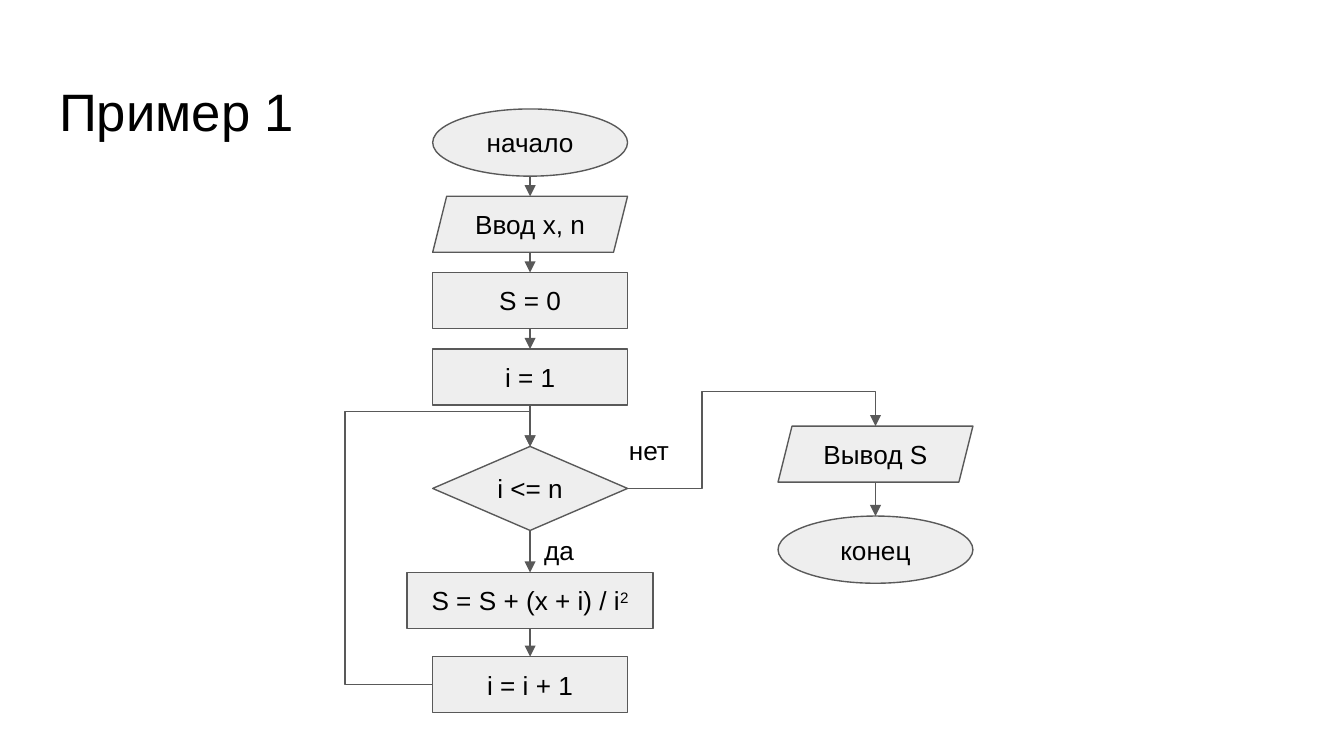
from dataclasses import dataclass
from itertools import pairwise

from pptx import Presentation
from pptx.dml.color import RGBColor as Rgb
from pptx.enum.shapes import MSO_CONNECTOR as Conn, MSO_SHAPE as Kind
from pptx.enum.text import MSO_ANCHOR as Anchor, PP_ALIGN as Align
from pptx.oxml.ns import qn
from pptx.oxml.xmlchemy import OxmlElement as Node
from pptx.util import Pt


@dataclass(frozen=True)
class Theme:
    font: str = "Arial"
    ink: Rgb = Rgb(0, 0, 0)
    fill: Rgb = Rgb(0xEE, 0xEE, 0xEE)
    edge: Rgb = Rgb(0x59, 0x59, 0x59)
    line: float = 0.75
    head: float = 28.2
    body: float = 14


THEME = Theme()
LEFT, RIGHT, WIDE = 284, 469, 104.4
JOINS = (Kind.RECTANGLE, Kind.DIAMOND)


def style(frame, size, align, anchor):
    frame.word_wrap = True
    frame.vertical_anchor = anchor
    frame.margin_left = frame.margin_right = Pt(7.2)
    frame.margin_top = frame.margin_bottom = Pt(7.2)
    for para in frame.paragraphs:
        para.alignment = align
        for run in para.runs:
            run.font.name = THEME.font
            run.font.size = Pt(size)
            run.font.color.rgb = THEME.ink


def title(slide, text):
    box = slide.shapes.title
    box.left, box.top, box.width, box.height = Pt(24.5), Pt(35), Pt(671), Pt(45)
    box.text_frame.text = text
    style(box.text_frame, THEME.head, Align.LEFT, Anchor.TOP)


def block(slide, kind, text, mid, top, high, wide=WIDE, power=""):
    box = slide.shapes.add_shape(kind, Pt(mid - wide / 2), Pt(top), Pt(wide), Pt(high))
    box.shadow.inherit = False
    box.fill.solid()
    box.fill.fore_color.rgb = THEME.fill
    box.line.color.rgb = THEME.edge
    box.line.width = Pt(THEME.line)
    box.text_frame.text = text
    if power:
        run = box.text_frame.paragraphs[0].add_run()
        run.text = power
        run._r.get_or_add_rPr().set("baseline", "30000")
    style(box.text_frame, THEME.body, Align.CENTER, Anchor.MIDDLE)
    return box


def label(slide, text, left, top):
    box = slide.shapes.add_textbox(Pt(left), Pt(top), Pt(41), Pt(31.7))
    box.text_frame.text = text
    style(box.text_frame, THEME.body, Align.LEFT, Anchor.TOP)


def arrow(slide, kind, start, end):
    line = slide.shapes.add_connector(kind, *start, *end)
    line.line.color.rgb = THEME.edge
    line.line.width = Pt(THEME.line)
    tip = Node("a:tailEnd")
    tip.set("type", "triangle")
    line.line._get_or_add_ln().append(tip)
    line._element.spPr.append(Node("a:effectLst"))
    return line


def side(box, spot):
    across, down = ((1, 0), (0, 1), (1, 2), (2, 1))[spot]
    return box.left + box.width * across // 2, box.top + box.height * down // 2


def link(slide, one, two):
    line = arrow(slide, Conn.STRAIGHT, side(one, 2), side(two, 0))
    if one.auto_shape_type in JOINS:
        line.begin_connect(one, 2)
    if two.auto_shape_type in JOINS:
        line.end_connect(two, 0)


def bend(slide, start, end, turn):
    line = arrow(slide, Conn.ELBOW, start, end)
    frame = line._element.spPr.find(qn("a:xfrm"))
    frame.attrib.pop("flipV", None)
    frame.set("rot", "10800000")
    frame.set("flipH", "1")
    geom = line._element.spPr.find(qn("a:prstGeom"))
    geom.set("prst", "bentConnector4")
    guides = geom.find(qn("a:avLst"))
    for num, (a, b, via) in enumerate(zip(start, end, turn), 1):
        guide = Node("a:gd")
        guide.set("name", f"adj{num}")
        guide.set("fmla", f"val {round((via - a) / (b - a) * 100000)}")
        guides.append(guide)


def main():
    deck = Presentation()
    deck.slide_width, deck.slide_height = Pt(720), Pt(405)
    slide = deck.slides.add_slide(deck.slide_layouts[5])
    title(slide, "Пример 1")

    begin = block(slide, Kind.OVAL, "начало", LEFT, 58.4, 36)
    read = block(slide, Kind.PARALLELOGRAM, "Ввод х, n", LEFT, 105.2, 30)
    zero = block(slide, Kind.RECTANGLE, "S = 0", LEFT, 146, 30)
    first = block(slide, Kind.RECTANGLE, "i = 1", LEFT, 187, 30)
    test = block(slide, Kind.DIAMOND, "i <= n", LEFT, 239.2, 45)
    add = block(slide, Kind.RECTANGLE, "S = S + (x + i) / i", LEFT, 306.7, 30, 131.8, "2")
    step = block(slide, Kind.RECTANGLE, "i = i + 1", LEFT, 351.8, 30)
    show = block(slide, Kind.PARALLELOGRAM, "Вывод S", RIGHT, 228.3, 30)
    stop = block(slide, Kind.OVAL, "конец", RIGHT, 276.5, 36)

    for chain in ((begin, read, zero, first, test, add, step), (show, stop)):
        for one, two in pairwise(chain):
            link(slide, one, two)
    bend(slide, side(test, 3), side(show, 0), (Pt(376), Pt(209.6)))
    bend(slide, side(step, 1), side(test, 0), (Pt(184.8), Pt(220.4)))

    label(slide, "нет", 329.8, 225.4)
    label(slide, "да", 284.4, 278.9)
    deck.save("out.pptx")


if __name__ == "__main__":
    main()
